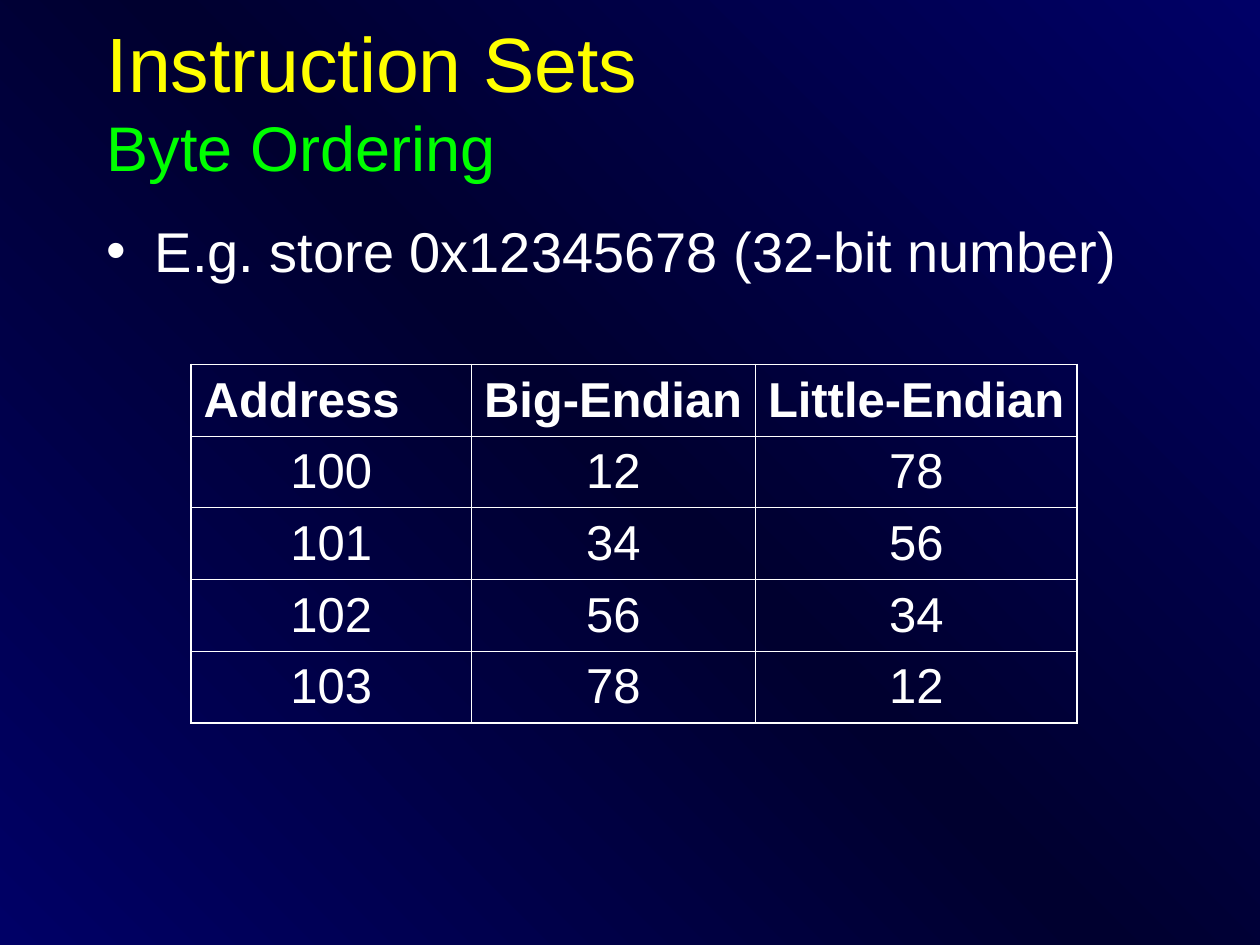
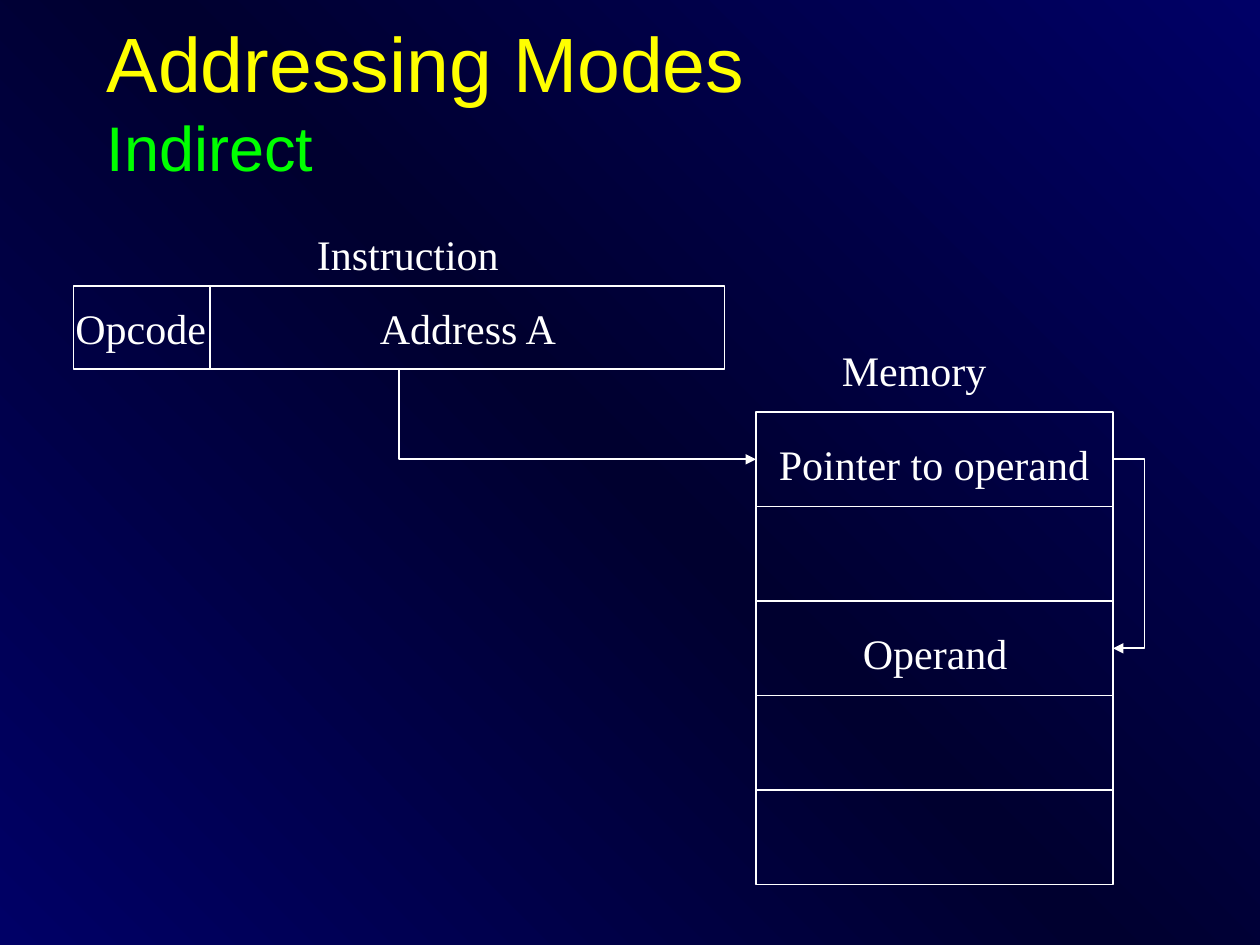
from lxml.etree import SubElement
from pptx import Presentation
from pptx.dml.color import RGBColor
from pptx.enum.shapes import MSO_CONNECTOR, MSO_SHAPE
from pptx.enum.text import MSO_ANCHOR, PP_ALIGN
from pptx.oxml import parse_xml
from pptx.oxml.ns import nsdecls, qn
from pptx.util import Inches, Pt

WHITE = RGBColor(0xFF, 0xFF, 0xFF)
YELLOW = RGBColor(0xFF, 0xFF, 0x00)
GREEN = RGBColor(0x00, 0xFF, 0x00)
BLUE = RGBColor(0x00, 0x00, 0x66)
NIGHT = RGBColor(0x00, 0x00, 0x2F)

SANS = "Arial"
SERIF = "Times New Roman"
OUTER_BORDER, INNER_BORDER = Pt(1.08), Pt(0.45)
LINE_WIDTH = Pt(1)

# The slide is a grid of 120 columns by 90 rows, twelve to the inch
COLUMNS, ROWS = 120, 90


def grid(*units):
    """Turn grid units into lengths."""
    return [Inches(unit / 12) for unit in units]


def set_background(master):
    """Give every slide the diagonal blue gradient."""
    fill = master.background.fill
    fill.gradient()
    fill.gradient_angle = 225
    stops = master.element.find(".//" + qn("a:gsLst"))
    for stop in list(stops):
        stops.remove(stop)
    for percent, color in ((0, BLUE), (50, NIGHT), (100, BLUE)):
        stop = SubElement(stops, qn("a:gs"), pos=str(percent * 1000))
        SubElement(stop, qn("a:srgbClr"), val=str(color))


def format_run(run, font_name, size, color=WHITE, bold=False):
    run.font.name = font_name
    run.font.size = Pt(size)
    run.font.color.rgb = color
    run.font.bold = bold


def add_text(slide, area, text):
    text_frame = slide.shapes.add_textbox(*grid(*area)).text_frame
    text_frame.word_wrap = True
    text_frame.text = text
    return text_frame


def add_title(slide, topic, subtopic):
    text_frame = add_text(slide, (9, 2, 102, 15), f"{topic}\v{subtopic}")
    text_frame.vertical_anchor = MSO_ANCHOR.MIDDLE
    topic_run, subtopic_run = text_frame.paragraphs[0].runs
    format_run(topic_run, SANS, 44, YELLOW)
    format_run(subtopic_run, SANS, 36, GREEN)


def add_bullet(slide, area, text):
    paragraph = add_text(slide, area, text).paragraphs[0]
    properties = paragraph._p.get_or_add_pPr()
    indent = Inches(0.38)
    properties.set("marL", str(indent))
    properties.set("indent", str(-indent))
    bullet_color = SubElement(properties, qn("a:buClr"))
    SubElement(bullet_color, qn("a:srgbClr"), val=str(WHITE))
    SubElement(properties, qn("a:buFont"), typeface=SANS)
    SubElement(properties, qn("a:buChar"), char="•")
    format_run(paragraph.runs[0], SANS, 32)


def add_label(slide, left, top, width, text):
    text_frame = add_text(slide, (left, top, width, 6), text)
    format_run(text_frame.paragraphs[0].runs[0], SERIF, 24)


def set_borders(cell, widths):
    """Draw the cell's left, right, top and bottom borders."""
    properties = cell._tc.get_or_add_tcPr()
    for position, (side, width) in enumerate(zip("LRTB", widths)):
        border = parse_xml(
            f'<a:ln{side} {nsdecls("a")} w="{width}"><a:solidFill>'
            f'<a:srgbClr val="{WHITE}"/></a:solidFill></a:ln{side}>')
        properties.insert(position, border)


def add_grid_table(slide, left, top, column_widths, row_height, rows):
    row_count, column_count = len(rows), len(column_widths)
    table = slide.shapes.add_table(
        row_count, column_count,
        *grid(left, top, sum(column_widths), row_height * row_count)).table
    table.first_row = table.horz_banding = False
    for column, width in zip(table.columns, grid(*column_widths)):
        column.width = width
    for row_index, values in enumerate(rows):
        table.rows[row_index].height = grid(row_height)[0]
        is_header = row_index == 0
        for column_index, value in enumerate(values):
            cell = table.cell(row_index, column_index)
            cell.text = value
            cell.vertical_anchor = MSO_ANCHOR.MIDDLE
            cell.fill.background()
            paragraph = cell.text_frame.paragraphs[0]
            paragraph.alignment = PP_ALIGN.LEFT if is_header else PP_ALIGN.CENTER
            format_run(paragraph.runs[0], SANS, 28, bold=is_header)
            on_edge = (column_index == 0, column_index == column_count - 1,
                       is_header, row_index == row_count - 1)
            set_borders(cell, [OUTER_BORDER if edge else INNER_BORDER
                               for edge in on_edge])


def style_outline(shape):
    shape.shadow.inherit = False
    shape.fill.background()
    shape.line.color.rgb = WHITE
    shape.line.width = LINE_WIDTH


def add_box(slide, *area):
    style_outline(slide.shapes.add_shape(MSO_SHAPE.RECTANGLE, *grid(*area)))


def add_divider(slide, column, top, bottom):
    line = slide.shapes.add_connector(
        MSO_CONNECTOR.STRAIGHT, *grid(column, top, column, bottom))
    line.line.color.rgb = WHITE
    line.line.width = LINE_WIDTH
    SubElement(line.element.spPr, qn("a:effectLst"))


def add_bent_arrow(slide, *points):
    start, *others = [tuple(grid(*point)) for point in points]
    builder = slide.shapes.build_freeform(*start)
    builder.add_line_segments(others, close=False)
    arrow = builder.convert_to_shape()
    style_outline(arrow)
    SubElement(arrow.element.spPr.find(qn("a:ln")), qn("a:tailEnd"),
               type="triangle")


def build_byte_ordering(slide):
    add_title(slide, "Instruction Sets", "Byte Ordering")
    add_bullet(slide, (9, 20, 102, 60), "E.g. store 0x12345678 (32-bit number)")
    number_bytes = ["12", "34", "56", "78"]
    addresses = [str(100 + offset) for offset in range(len(number_bytes))]
    rows = [("Address", "Big-Endian", "Little-Endian"),
            *zip(addresses, number_bytes, reversed(number_bytes))]
    add_grid_table(slide, 18.2, 34.7, (26.7, 27.05, 30.65), 6.83, rows)


def build_indirect_addressing(slide):
    add_title(slide, "Addressing Modes", "Indirect")

    # Instruction word: opcode and address fields
    word_top, word_height = 27.25, 7.9
    word_bottom = word_top + word_height
    add_box(slide, 7, word_top, 62, word_height)
    add_divider(slide, 20, word_top, word_bottom)
    add_label(slide, 29, 21.2, 21, "Instruction")
    add_label(slide, 6, 28.2, 16, "Opcode")
    add_label(slide, 35, 28.2, 21, "Address A")

    # Memory: five equal cells
    memory_left, memory_top, memory_width, cell_height = 72, 39.25, 34, 9
    memory_right = memory_left + memory_width
    for index in range(5):
        add_box(slide, memory_left, memory_top + index * cell_height,
                memory_width, cell_height)
    add_label(slide, 79, 32.2, 18, "Memory")
    add_label(slide, 73, 41.2, 34, "Pointer to operand")
    add_label(slide, 81, 59.2, 18, "Operand")

    # Arrows: address to pointer, pointer to operand
    pointer_row = memory_top + cell_height / 2
    operand_row = pointer_row + 2 * cell_height
    add_bent_arrow(slide, (38, word_bottom), (38, pointer_row),
                   (memory_left, pointer_row))
    turn = memory_right + 3
    add_bent_arrow(slide, (memory_right, pointer_row), (turn, pointer_row),
                   (turn, operand_row), (memory_right, operand_row))


def main():
    presentation = Presentation()
    presentation.slide_width, presentation.slide_height = grid(COLUMNS, ROWS)
    set_background(presentation.slide_master)
    blank_layout = presentation.slide_layouts[6]
    for build in (build_byte_ordering, build_indirect_addressing):
        build(presentation.slides.add_slide(blank_layout))
    presentation.save("out.pptx")


if __name__ == "__main__":
    main()
